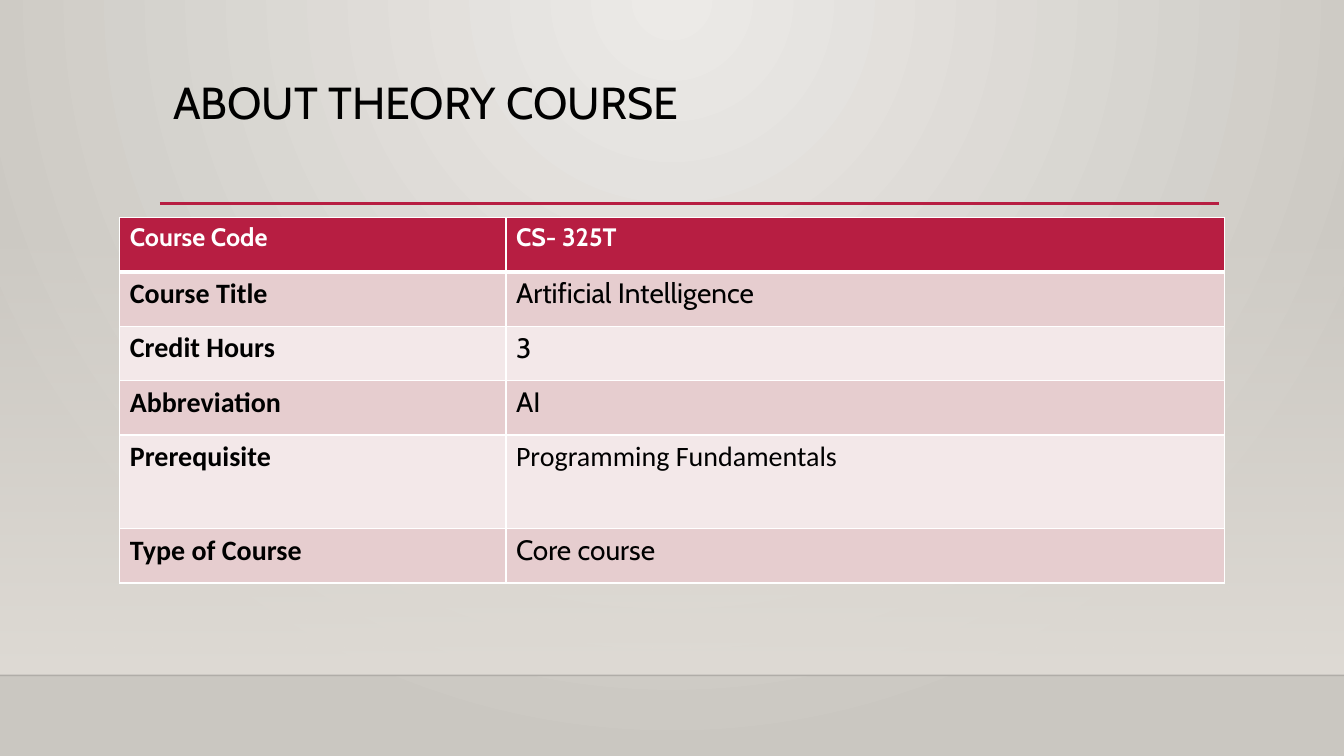
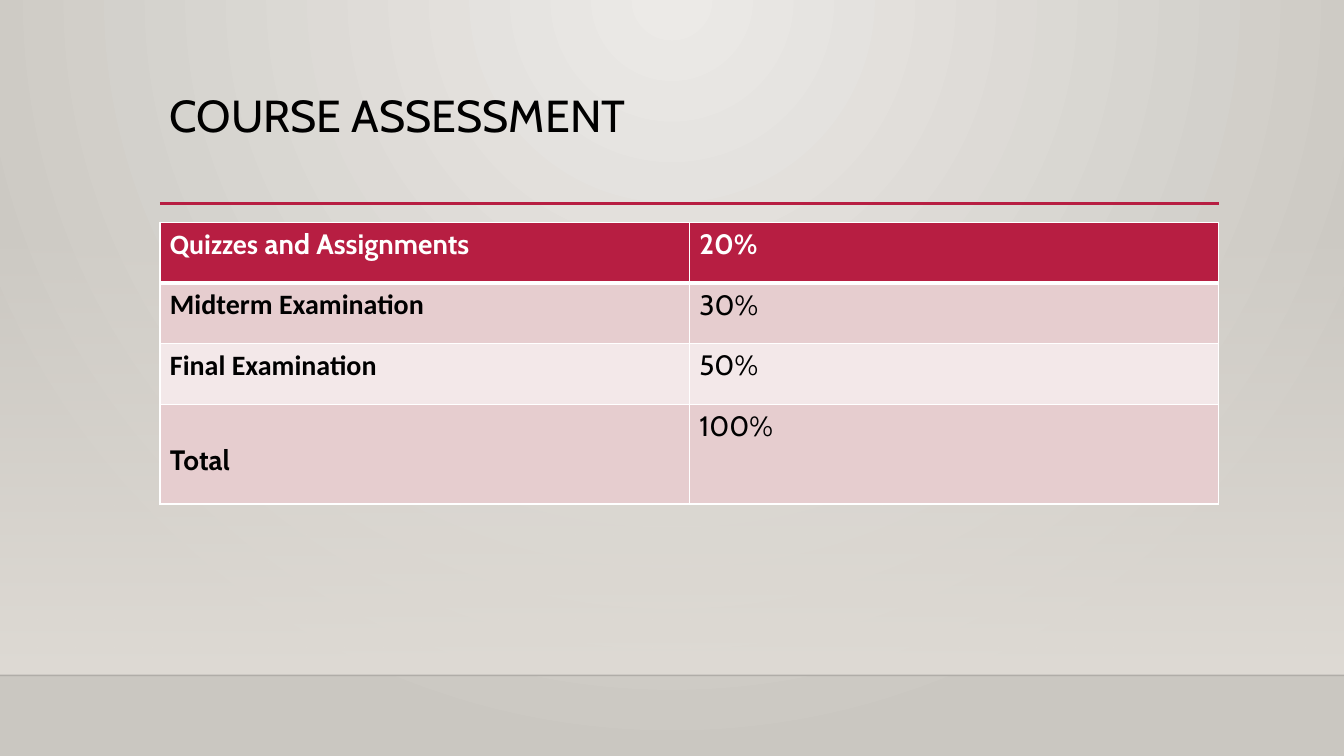
from pptx import Presentation
from pptx import util as u
from pptx.dml.color import RGBColor
from pptx.enum import shapes, text
from pptx.oxml import parse_xml
from pptx.oxml.ns import nsdecls, qn

Cm, Pt = u.Cm, u.Pt

CRIMSON = RGBColor(0xB7, 0x1E, 0x42)
ROSE = RGBColor(0xE6, 0xCD, 0xCF)
BLUSH = RGBColor(0xF3, 0xE8, 0xE9)
SAND = RGBColor(0xDF, 0xDB, 0xD5)
PEARL = RGBColor(0xEC, 0xEA, 0xE7)
STONE = RGBColor(0xCA, 0xC7, 0xC1)
BLACK = RGBColor(0, 0, 0)
WHITE = RGBColor(0xFF, 0xFF, 0xFF)

CABIN = "Cabin"
CALIBRI = "Calibri"

WIDTH, HEIGHT = 33.87, 19.05
WALL_TOP, FLOOR = 5.61, 17.02
RULE_LEFT, RULE_RIGHT, RULE_TOP = 4.03, 30.72, 5.13

RADIAL = '<a:path {} path="circle"><a:fillToRect l="43000" r="43000" b="100000"/></a:path>'
DOWNWARD = '<a:lin {} ang="5400000" scaled="0"/>'


def add_run(p, content, font=CABIN, size=20, color=BLACK, bold=False):
    r = p.add_run()
    r.text = content
    r.font.name = font
    r.font.size = Pt(size)
    r.font.color.rgb = color
    r.font.bold = bold
    return r


def set_gradient(fill, owner, stops, shade):
    fill.gradient()
    grad = owner.find(".//" + qn("a:gradFill"))
    for child in list(grad):
        grad.remove(child)
    marks = "".join(
        f'<a:gs pos="{pos * 1000}"><a:srgbClr val="{color}">'
        f'<a:alpha val="{alpha * 1000}"/></a:srgbClr></a:gs>'
        for pos, color, alpha in stops
    )
    grad.append(parse_xml(f'<a:gsLst {nsdecls("a")}>{marks}</a:gsLst>'))
    grad.append(parse_xml(shade.format(nsdecls("a"))))


def set_borders(cell, **widths):
    tcPr = cell._tc.get_or_add_tcPr()
    for i, side in enumerate("LRTB"):
        tcPr.insert(i, parse_xml(
            f'<a:ln{side} {nsdecls("a")} w="{Pt(widths.get(side, 1))}">'
            f'<a:solidFill><a:srgbClr val="{WHITE}"/></a:solidFill></a:ln{side}>'
        ))


class Deck:
    def __init__(self):
        self.prs = Presentation()
        self.prs.slide_width = Cm(WIDTH)
        self.prs.slide_height = Cm(HEIGHT)
        master = self.prs.slide_master
        set_gradient(master.background.fill, master.element,
                     [(0, PEARL, 100), (100, STONE, 100)], RADIAL)
        self.s = None

    def new_slide(self, title, box):
        self.s = self.prs.slides.add_slide(self.prs.slide_layouts[5])
        self.wall()
        self.line(0, WIDTH, FLOOR, BLACK, 1, alpha=20)
        self.line(RULE_LEFT, RULE_RIGHT, RULE_TOP, CRIMSON, 2.5)
        self.title(title, box)

    def wall(self):
        sp = self.s.shapes.add_shape(shapes.MSO_SHAPE.RECTANGLE, 0, Cm(WALL_TOP),
                                     Cm(WIDTH), Cm(FLOOR - WALL_TOP))
        sp.shadow.inherit = False
        sp.line.fill.background()
        set_gradient(sp.fill, sp.element, [(0, SAND, 0), (100, SAND, 100)], DOWNWARD)

    def line(self, left, right, top, color, width, alpha=100):
        sp = self.s.shapes.add_connector(shapes.MSO_CONNECTOR.STRAIGHT,
                                         Cm(left), Cm(top), Cm(right), Cm(top))
        sp.line.color.rgb = color
        sp.line.width = Pt(width)
        spPr = sp.element.spPr
        spPr.find(".//" + qn("a:srgbClr")).append(
            parse_xml(f'<a:alpha {nsdecls("a")} val="{alpha * 1000}"/>'))
        spPr.append(parse_xml(f'<a:effectLst {nsdecls("a")}/>'))

    def title(self, content, box):
        sp = self.s.shapes.title
        sp.element.getparent().append(sp.element)
        sp.left, sp.top, sp.width, sp.height = map(Cm, box)
        tf = sp.text_frame
        tf.word_wrap = True
        tf.auto_size = text.MSO_AUTO_SIZE.NONE
        tf.vertical_anchor = text.MSO_ANCHOR.TOP
        p = tf.paragraphs[0]
        p.alignment = text.PP_ALIGN.LEFT
        p.line_spacing = 0.9
        add_run(p, content, size=32)

    def table(self, left, top, widths, heights, rows, header_size=20):
        frame = self.s.shapes.add_table(len(rows), len(widths), Cm(left), Cm(top),
                                        Cm(sum(widths)), Cm(sum(heights)))
        table = frame.table
        table.horz_banding = False
        for column, width in zip(table.columns, widths):
            column.width = Cm(width)
        for i, (height, row) in enumerate(zip(heights, rows)):
            table.rows[i].height = Cm(height)
            header = i == 0
            for j, runs in enumerate(row):
                cell = table.cell(i, j)
                cell.fill.solid()
                cell.fill.fore_color.rgb = CRIMSON if header else (BLUSH, ROSE)[i % 2]
                set_borders(cell, T=3 if i == 1 else 1, B=3 if header else 1)
                if isinstance(runs, str):
                    runs = [(runs, CABIN if j else CALIBRI)]
                for content, font in runs:
                    add_run(cell.text_frame.paragraphs[0], content, font=font,
                            size=header_size if header else 20,
                            color=WHITE if header else BLACK,
                            bold=header or j == 0)
        return table


def main():
    deck = Deck()

    deck.new_slide("ABOUT THEORY COURSE", (4.11, 1.9, 27.84, 1.98))
    deck.table(3.02, 5.48, [9.73, 18.11], [1.37] * 4 + [2.36, 1.37], [
        ([("Course Code", CABIN)], "CS- 325T"),
        ("Course Title", "Artificial Intelligence"),
        ("Credit Hours", "3"),
        ("Abbreviation", "AI"),
        ("Prerequisite", [("Programming Fundamentals", CALIBRI)]),
        ("Type of Course", "Core course"),
    ], header_size=18)

    deck.new_slide("COURSE ASSESSMENT", (RULE_LEFT, 2.24, 26.67, 2.92))
    table = deck.table(RULE_LEFT, 5.6, [13.34] * 2, [1.53] * 3 + [2.51], [
        ([("Quizzes", CALIBRI), (" and Assignments", CABIN)], "20%"),
        ("Midterm Examination", "30%"),
        ("Final Examination", "50%"),
        ([("Total", CABIN)], "100%"),
    ])
    table.cell(3, 0).margin_top = Cm(0.98)

    deck.prs.save("out.pptx")


if __name__ == "__main__":
    main()
